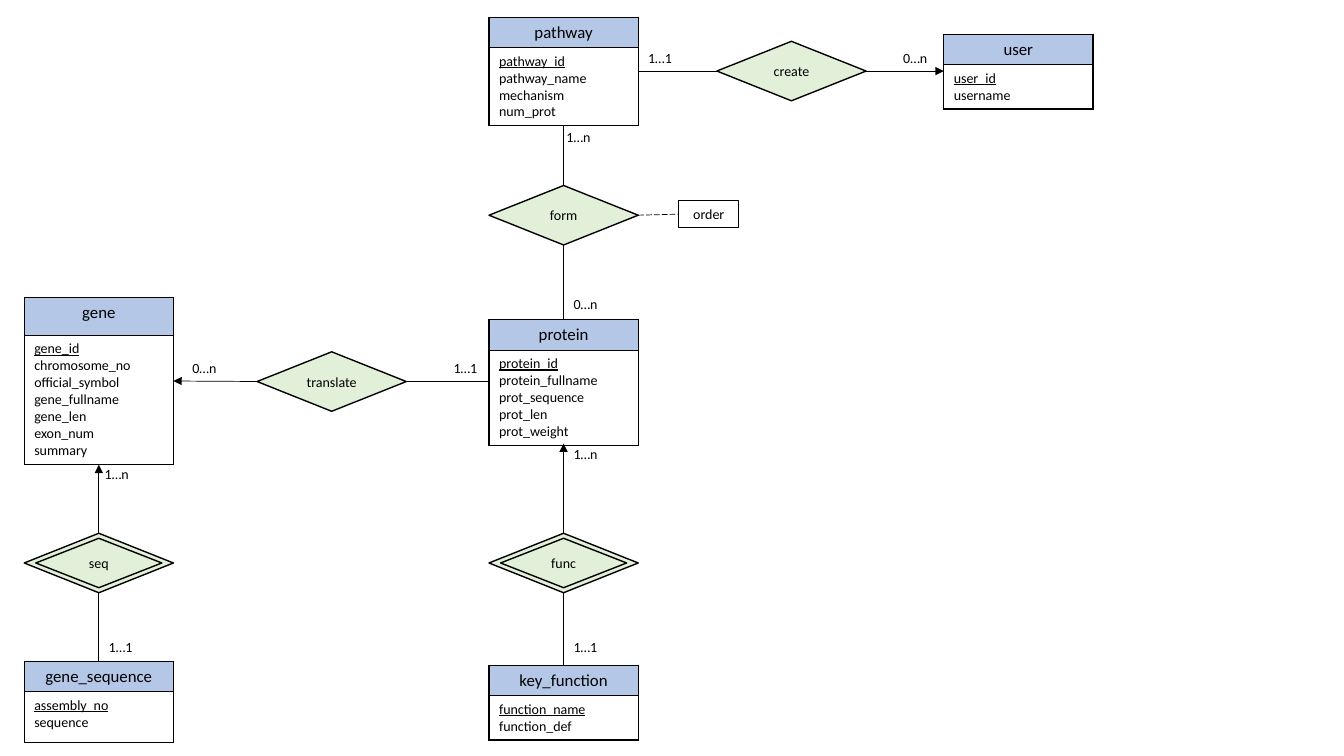
from lxml import etree
from pptx import Presentation
from pptx.dml.color import RGBColor
from pptx.enum.dml import MSO_LINE
from pptx.enum.shapes import MSO_CONNECTOR, MSO_SHAPE
from pptx.enum.text import MSO_ANCHOR, PP_ALIGN
from pptx.oxml.ns import qn
from pptx.util import Inches, Pt

DIAMOND = MSO_SHAPE.FLOWCHART_DECISION
RECTANGLE = MSO_SHAPE.RECTANGLE
STRAIGHT = MSO_CONNECTOR.STRAIGHT
CENTER, LEFT = PP_ALIGN.CENTER, PP_ALIGN.LEFT
MIDDLE = MSO_ANCHOR.MIDDLE
LONG_DASH = MSO_LINE.LONG_DASH

FONT = "Calibri"
BLACK, WHITE, BLUE, GREEN = "000000", "FFFFFF", "B4C7E7", "E2F0D9"
WIDTH, DIAMOND_HEIGHT = 1.48, 0.59
GENE_X, PROTEIN_X, USER_X = 0.24, 4.85, 9.36

# Entities: name, left, top, header height, body height, attributes (key first)
ENTITIES = [
    ("gene", GENE_X, 2.95, 0.38, 1.28,
     ["gene_id", "chromosome_no", "official_symbol", "gene_fullname",
      "gene_len", "exon_num", "summary"]),
    ("gene_sequence", GENE_X, 6.56, 0.3, 0.5, ["assembly_no", "sequence"]),
    ("protein", PROTEIN_X, 3.17, 0.3, 0.93,
     ["protein_id", "protein_fullname", "prot_sequence", "prot_len", "prot_weight"]),
    ("key_function", PROTEIN_X, 6.6, 0.3, 0.43, ["function_name", "function_def"]),
    ("pathway", PROTEIN_X, 0.17, 0.3, 0.77,
     ["pathway_id", "pathway_name", "mechanism", "num_prot"]),
    ("user", USER_X, 0.34, 0.3, 0.43, ["user_id", "username"]),
]

# Relationships: name, left, top, double outline
RELATIONSHIPS = [
    ("translate", 2.55, 3.49, False),
    ("seq", GENE_X, 5.29, True),
    ("func", PROTEIN_X, 5.29, True),
    ("form", PROTEIN_X, 1.84, False),
    ("create", 7.11, 0.41, False),
]

# Links: start, side, end, side, arrow at the end
LINKS = [
    ("func", "bottom", "key_function", "top", False),
    ("seq", "bottom", "gene_sequence", "top", False),
    ("translate", "right", "protein", "left", False),
    ("form", "bottom", "protein", "top", False),
    ("pathway", "bottom", "form", "top", False),
    ("pathway", "right", "create", "left", False),
    ("seq", "top", "gene", "bottom", True),
    ("func", "top", "protein", "bottom", True),
    ("translate", "left", "gene", "right", True),
    ("create", "right", "user", "left", True),
]

# Cardinalities: text, left, top
CARDINALITIES = [
    ("0…n", 1.81, 3.52), ("1…1", 4.4, 3.52), ("1…1", 0.98, 6.29),
    ("1…1", 5.59, 6.29), ("1…n", 0.94, 4.57), ("0…n", 5.59, 2.88),
    ("0…n", 8.86, 0.44), ("1…1", 6.33, 0.44), ("1…n", 5.59, 4.37),
    ("1…n", 5.52, 1.23),
]

ORDER_BOX = (6.73, 1.99, 0.6, 0.27)
ANCHORS = {"left": (0, 0.5), "right": (1, 0.5), "top": (0.5, 0), "bottom": (0.5, 1)}


def color(value):
    return RGBColor.from_string(value)


def lengths(*values):
    return [Inches(value) for value in values]


def write(frame, text, size=10, align=LEFT):
    frame.text = text
    for para in frame.paragraphs:
        para.alignment = align
        for span in para.runs:
            span.font.name = FONT
            span.font.size = Pt(size)
            span.font.color.rgb = color(BLACK)


def add_borders(cell):
    properties = cell._tc.get_or_add_tcPr()
    for side in ("a:lnL", "a:lnR", "a:lnT", "a:lnB"):
        border = etree.SubElement(properties, qn(side), w=str(Pt(1)))
        fill = etree.SubElement(border, qn("a:solidFill"))
        etree.SubElement(fill, qn("a:srgbClr"), val=BLACK)


def add_entity(page, name, left, top, header, body, attributes):
    box = (left, top, WIDTH, header + body)
    table = page.shapes.add_table(2, 1, *lengths(*box)).table
    table.first_row = table.horz_banding = False
    for row, height in zip(table.rows, (header, body)):
        row.height = Inches(height)
    title, details = table.cell(0, 0), table.cell(1, 0)
    for cell in (title, details):
        add_borders(cell)
    title.fill.solid()
    title.fill.fore_color.rgb = color(BLUE)
    details.fill.background()
    write(title.text_frame, name, 12, CENTER)
    write(details.text_frame, "\n".join(attributes))
    details.text_frame.paragraphs[0].runs[0].font.underline = True
    return box


def add_box(shapes, kind, box, fill, line_width, text=""):
    shape = shapes.add_shape(kind, *lengths(*box))
    shape.shadow.inherit = False
    shape.fill.solid()
    shape.fill.fore_color.rgb = color(fill)
    shape.line.color.rgb = color(BLACK)
    shape.line.width = Pt(line_width)
    frame = shape.text_frame
    frame.margin_left = frame.margin_right = 0
    frame.margin_top = frame.margin_bottom = 0
    frame.vertical_anchor = MIDDLE
    if text:
        write(frame, text, align=CENTER)


def add_relationship(page, name, left, top, double):
    box = (left, top, WIDTH, DIAMOND_HEIGHT)
    if double:
        group = page.shapes.add_group_shape()
        inner = (left + 0.115, top + 0.05, WIDTH - 0.23, DIAMOND_HEIGHT - 0.1)
        add_box(group.shapes, DIAMOND, box, GREEN, 1)
        add_box(group.shapes, DIAMOND, inner, GREEN, 1, name)
    else:
        add_box(page.shapes, DIAMOND, box, GREEN, 1, name)
    return box


def anchor(box, side):
    left, top, width, height = box
    across, down = ANCHORS[side]
    return left + across * width, top + down * height


def add_link(page, start, end, arrow=False, dash=None):
    link = page.shapes.add_connector(STRAIGHT, *lengths(*start, *end))
    link.line.color.rgb = color(BLACK)
    link.line.width = Pt(0.5)
    if dash:
        link.line.dash_style = dash
    if arrow:
        etree.SubElement(link.line._get_or_add_ln(), qn("a:tailEnd"), type="triangle")
    etree.SubElement(link._element.spPr, qn("a:effectLst"))


def main():
    deck = Presentation()
    deck.slide_width, deck.slide_height = lengths(13.33, 7.5)
    page = deck.slides.add_slide(deck.slide_layouts[6])

    # Entities and relationships, remembered by name
    boxes = {}
    for entity in ENTITIES:
        boxes[entity[0]] = add_entity(page, *entity)
    for relationship in RELATIONSHIPS:
        boxes[relationship[0]] = add_relationship(page, *relationship)

    # Links between them
    for start, start_side, end, end_side, arrow in LINKS:
        add_link(page, anchor(boxes[start], start_side),
                 anchor(boxes[end], end_side), arrow)

    # Cardinalities
    for text, left, top in CARDINALITIES:
        label = page.shapes.add_textbox(*lengths(left, top, 0.45, 0.27))
        label.text_frame.word_wrap = True
        write(label.text_frame, text)

    # Attribute of the form relationship
    add_link(page, anchor(boxes["form"], "right"), anchor(ORDER_BOX, "left"),
             dash=LONG_DASH)
    add_box(page.shapes, RECTANGLE, ORDER_BOX, WHITE, 0.75, "order")

    deck.save("out.pptx")


if __name__ == "__main__":
    main()
